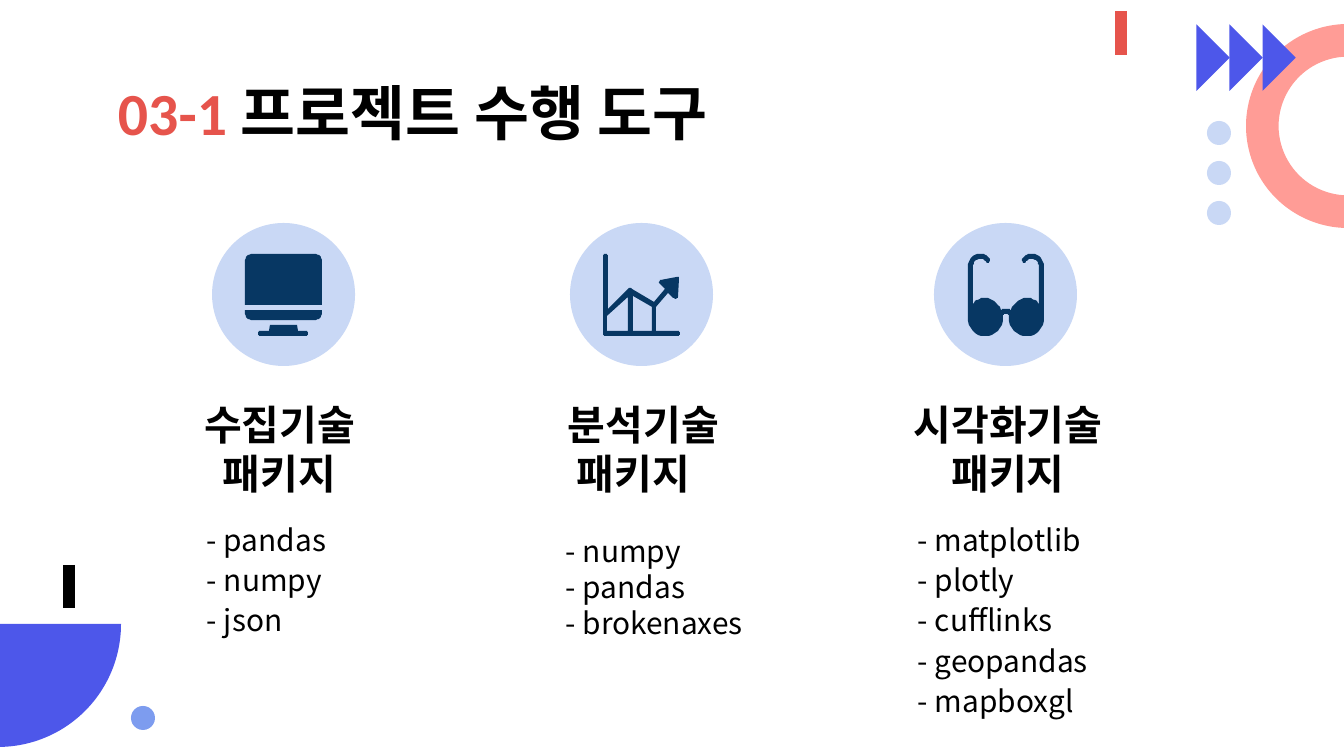
from pptx import Presentation
from pptx.dml.color import RGBColor
from pptx.enum.shapes import MSO_CONNECTOR, MSO_SHAPE as Shape
from pptx.enum.text import MSO_ANCHOR, MSO_AUTO_SIZE, PP_ALIGN as Align
from pptx.oxml.ns import qn
from pptx.util import Pt
from lxml.etree import SubElement

PX = 914400 / 134.4
BLACK, RED, CORAL = "000000", "E6544C", "FF9C96"
INDIGO, SKY, PALE, NAVY = "4D57EA", "7D9CEF", "C9D8F5", "073763"
KOREAN = "Noto Sans CJK KR"


def px(length):
    return round(length * PX)


def rgb(color):
    return RGBColor.from_string(color)


def trace(steps):
    """Turn points and cubic curves (six numbers) into a list of points."""
    points = []
    for step in steps:
        if len(step) == 2:
            points.append(step)
            continue
        start, ends = points[-1], (step[:2], step[2:4], step[4:])
        for t in (i / 8 for i in range(1, 9)):
            weights = ((1 - t) ** 3, 3 * t * (1 - t) ** 2, 3 * t * t * (1 - t), t ** 3)
            points.append(tuple(sum(w * p[axis] for w, p in zip(weights, (start, *ends)))
                                for axis in (0, 1)))
    return points


class Deck:
    def __init__(self, width, height):
        self.prs = Presentation()
        self.prs.slide_width, self.prs.slide_height = px(width), px(height)
        self.slide = self.prs.slides.add_slide(self.prs.slide_layouts[5])
        self.shapes = self.slide.shapes

    def paint(self, shape, color):
        shape.shadow.inherit = False
        shape.fill.solid()
        shape.fill.fore_color.rgb = rgb(color)
        shape.line.fill.background()

    def shape(self, kind, left, top, size, color, rotation=0, adjustments=()):
        shape = self.shapes.add_shape(kind, px(left), px(top), px(size), px(size))
        shape.rotation = rotation
        for i, value in enumerate(adjustments):
            shape.adjustments[i] = value
        self.paint(shape, color)

    def bar(self, x, top, bottom, color):
        bar = self.shapes.add_connector(MSO_CONNECTOR.STRAIGHT, px(x), px(top), px(x), px(bottom))
        bar.line.color.rgb = rgb(color)
        bar.line.width = Pt(6)
        SubElement(bar._element.spPr, qn("a:effectLst"))

    def outline(self, *contours):
        """Draw one navy shape; inner contours become holes."""
        first, *others = contours
        builder = self.shapes.build_freeform(*first[0], scale=PX)
        builder.add_line_segments(first[1:])
        for contour in others:
            builder.move_to(*contour[0])
            builder.add_line_segments(contour[1:])
        self.paint(builder.convert_to_shape(), NAVY)

    def font(self, font, size, color=BLACK, bold=True, name=KOREAN):
        font.size, font.bold, font.name = Pt(size), bold, name
        font.color.rgb = rgb(color)
        SubElement(font._element, qn("a:ea")).set("typeface", name)

    def frame(self, box):
        frame = box.text_frame
        frame.word_wrap = True
        frame.auto_size = MSO_AUTO_SIZE.NONE
        frame.vertical_anchor = MSO_ANCHOR.TOP
        frame.margin_left = frame.margin_right = px(13)
        frame.margin_top = frame.margin_bottom = px(13)
        return frame

    def title(self, left, top, width, height, number, name):
        title = self.shapes.title
        title.left, title.top, title.width, title.height = map(px, (left, top, width, height))
        line = self.frame(title).paragraphs[0]
        line.alignment = Align.LEFT
        for text, color, face in ((number + " ", RED, "Calibri"), (name, BLACK, KOREAN)):
            run = line.add_run()
            run.text = text
            self.font(run.font, 32, color, name=face)

    def column(self, left, width, height, heading, packages, heading_indents=None,
               item_spacing=0.5, first_gap=21, gap=12):
        """Write a heading, centred unless indents are given, over a package list."""
        box = self.shapes.add_textbox(px(left), px(386), px(width), px(height))
        frame = self.frame(box)
        for i, text in enumerate([*heading, *(f"- {name}" for name in packages)]):
            line = frame.paragraphs[0] if i == 0 else frame.add_paragraph()
            line.text = text
            is_heading = i < len(heading)
            if is_heading and not heading_indents:
                line.alignment = Align.CENTER
            else:
                indent = heading_indents[i] if is_heading else 7
                line._p.get_or_add_pPr().set("marL", str(px(indent)))
            if not is_heading:
                line.line_spacing = item_spacing
                line.space_before = Pt(first_gap if i == len(heading) else gap)
            self.font(line.font, 22 if is_heading else 16, bold=is_heading)


def main():
    deck = Deck(1344, 756)

    deck.bar(69, 565, 608, BLACK)
    deck.shape(Shape.PIE, -125, 501, 246, INDIGO, 180, (108, 162))
    deck.shape(Shape.DONUT, 1246, 24, 204, CORAL, adjustments=(0.16,))
    for i in range(3):
        deck.shape(Shape.OVAL, 1207, 121 + 40 * i, 24, PALE)
    for i in range(3):
        deck.shape(Shape.RIGHT_TRIANGLE, 1173 + 33 * i, 34, 47, INDIGO, 225)
    deck.bar(1121, 11, 55, RED)
    deck.shape(Shape.OVAL, 131, 706, 24, SKY)

    deck.title(105, 63, 1134, 69, "03-1", "프로젝트 수행 도구")
    deck.column(187, 185, 266, ("수집기술", "패키지"), ("pandas", "numpy", "json"))
    deck.column(546, 220, 266, ("분석기술", "패키지"), ("numpy", "pandas", "brokenaxes"),
                heading_indents=(9, 18), item_spacing=1, first_gap=19, gap=0)
    deck.column(898, 220, 324, ("시각화기술", "패키지"),
                ("matplotlib", "plotly", "cufflinks", "geopandas", "mapboxgl"))
    for left in (212, 570, 934):
        deck.shape(Shape.OVAL, left, 223, 143, PALE)

    monitor_stand = [(270, 325), (269, 331), (261, 331), (259, 331, 258, 332, 258, 333),
                     (258, 335, 259, 336, 261, 336), (306, 336),
                     (307, 336, 308, 335, 308, 333), (308, 332, 307, 331, 306, 331),
                     (298, 331), (297, 325)]
    monitor_base = [(245, 310), (245, 313), (245, 317, 248, 320, 252, 320), (315, 320),
                    (319, 320, 322, 317, 322, 313), (322, 310)]
    monitor_screen = [(252, 254), (248, 254, 245, 257, 245, 261), (245, 305), (322, 305),
                      (322, 261), (322, 257, 319, 254, 315, 254)]
    for part in (monitor_stand, monitor_base, monitor_screen):
        deck.outline(trace(part))

    chart_edge = [(605, 254), (604, 254, 603, 255, 603, 256), (603, 333),
                  (603, 335, 604, 336, 605, 336), (677, 336), (679, 336, 680, 335, 680, 333),
                  (680, 332, 679, 331, 677, 331), (656, 331), (656, 307), (668, 293),
                  (673, 298), (675, 299, 678, 299, 678, 297), (679, 279),
                  (680, 278, 679, 276, 677, 277), (661, 280), (659, 281, 659, 283, 660, 284),
                  (665, 289), (654, 302), (632, 289), (631, 288, 629, 288, 628, 289),
                  (608, 309), (608, 256), (608, 255, 607, 254, 605, 254)]
    left_gap = [(628, 297), (628, 331), (607, 331), (607, 316)]
    right_gap = [(633, 296), (652, 307), (652, 331), (633, 331)]
    deck.outline(trace(chart_edge), left_gap, right_gap)

    half_glasses = trace([
        (1006, 309), (1004, 309, 1003, 309, 1001, 310), (998, 303, 992, 298, 985, 298),
        (980, 298, 976, 300, 973, 304), (973, 267), (973, 262, 976, 259, 980, 259),
        (983, 259, 985, 260, 986, 262), (987, 263, 989, 263, 989, 262),
        (990, 261, 990, 259, 989, 258), (987, 255, 983, 254, 980, 254),
        (973, 254, 968, 260, 968, 267), (968, 317), (968, 328, 975, 336, 985, 336),
        (995, 336, 1003, 328, 1003, 317), (1003, 315, 1004, 314, 1006, 314)])
    deck.outline(half_glasses + [(2012 - x, y) for x, y in reversed(half_glasses)])

    deck.prs.save("out.pptx")


if __name__ == "__main__":
    main()
